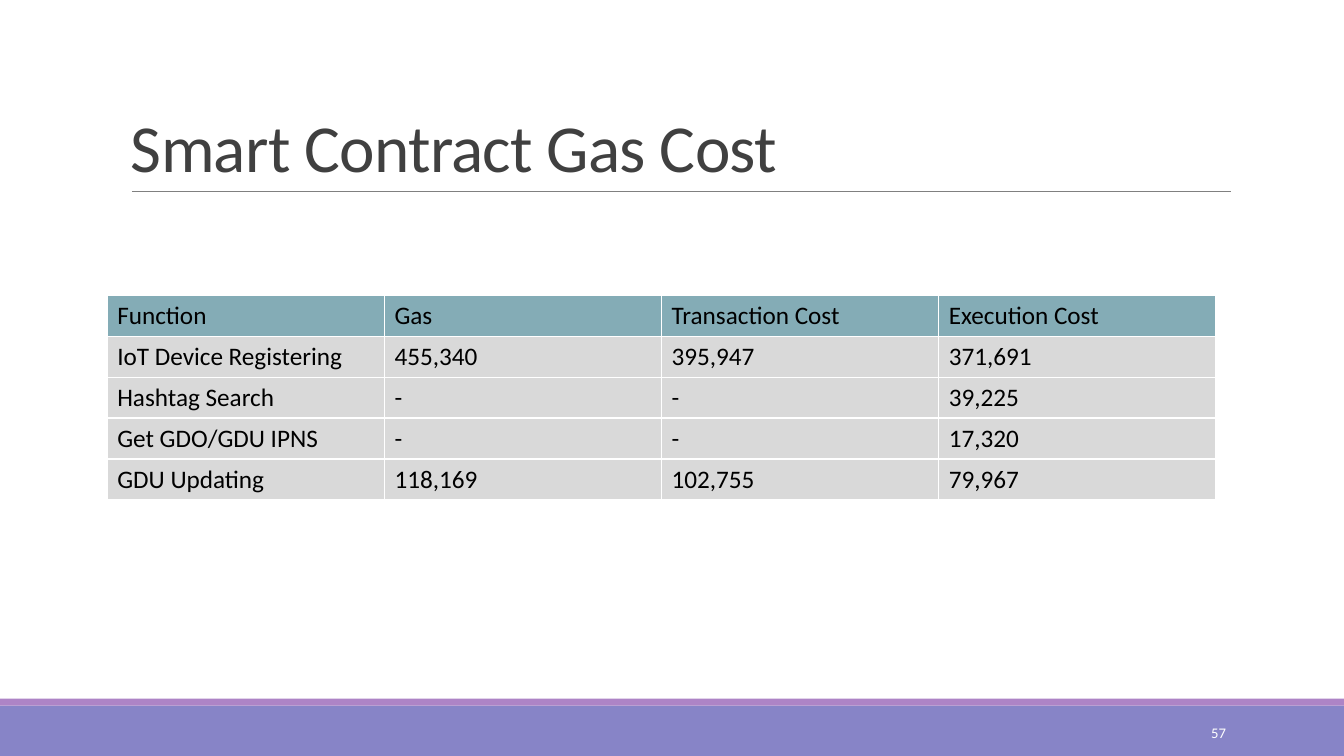
import dataclasses
from typing import Any

import lxml.etree
import pptx
import pptx.dml.color
import pptx.enum.shapes
import pptx.enum.text
import pptx.oxml.ns
import pptx.util

Pt = pptx.util.Pt
RGBColor = pptx.dml.color.RGBColor
Align = pptx.enum.text.PP_ALIGN
Anchor = pptx.enum.text.MSO_ANCHOR
qn = pptx.oxml.ns.qn

# Colours
WHITE = RGBColor(0xFF, 0xFF, 0xFF)
BLACK = RGBColor(0x00, 0x00, 0x00)
DARK = RGBColor(0x40, 0x40, 0x40)
GREY = RGBColor(0x80, 0x80, 0x80)
PALE = RGBColor(0xD9, 0xD9, 0xD9)
TEAL = RGBColor(0x84, 0xAC, 0xB6)
BLUE = RGBColor(0x87, 0x84, 0xC7)
MAUVE = RGBColor(0xAD, 0x84, 0xC6)

# Lengths in points
WIDTH, HEIGHT = 960, 540
COL, ROW = 198, 29.2


@dataclasses.dataclass(frozen=True)
class Band:
    top: float
    height: float
    color: RGBColor


@dataclasses.dataclass(frozen=True)
class Label:
    text: str
    box: tuple[float, float, float, float]
    size: float
    color: RGBColor
    frame: dict[str, Any]
    para: dict[str, Any]
    track: int = 0


BANDS = [Band(504, 36, BLUE), Band(499, 5, MAUVE)]

LABELS = [
    Label("Smart Contract Gas Cost", (86.4, 22.4, 792, 114.4), 48, DARK,
          {"vertical_anchor": Anchor.BOTTOM}, {"line_spacing": 0.85}, -50),
    Label("57", (779.8, 508.6, 103, 28.8), 10.5, WHITE,
          {"vertical_anchor": Anchor.MIDDLE}, {"alignment": Align.RIGHT}),
]

COSTS = [
    ("Function", "Gas", "Transaction Cost", "Execution Cost"),
    ("IoT Device Registering", "455,340", "395,947", "371,691"),
    ("Hashtag Search", "-", "-", "39,225"),
    ("Get GDO/GDU IPNS", "-", "-", "17,320"),
    ("GDU Updating", "118,169", "102,755", "79,967"),
]


def apply(item: Any, values: dict[str, Any]) -> None:
    for name, value in values.items():
        setattr(item, name, value)


def write(para: Any, text: str, size: float, color: RGBColor) -> Any:
    run = para.add_run()
    run.text = text
    apply(run.font, {"name": "Calibri", "size": Pt(size), "bold": False})
    run.font.color.rgb = color
    return run


def draw_band(slide: Any, band: Band) -> None:
    shape = slide.shapes.add_shape(
        pptx.enum.shapes.MSO_SHAPE.RECTANGLE,
        0, Pt(band.top), Pt(WIDTH), Pt(band.height))
    shape.shadow.inherit = False
    shape.fill.solid()
    shape.fill.fore_color.rgb = band.color
    shape.line.fill.background()


def draw_rule(slide: Any) -> None:
    rule = slide.shapes.add_connector(
        pptx.enum.shapes.MSO_CONNECTOR.STRAIGHT,
        Pt(94.3), Pt(136.8), Pt(879.1), Pt(136.8))
    rule.line.color.rgb = GREY
    rule.line.width = Pt(0.5)
    props = rule._element.find(qn("p:spPr"))
    lxml.etree.SubElement(props, qn("a:effectLst"))


def draw_label(slide: Any, label: Label) -> None:
    frame = slide.shapes.add_textbox(*map(Pt, label.box)).text_frame
    apply(frame, {"word_wrap": True, **label.frame})
    para = frame.paragraphs[0]
    apply(para, label.para)
    run = write(para, label.text, label.size, label.color)
    if label.track:
        run.font._element.set("spc", str(label.track))


def add_edges(cell: Any) -> None:
    props = cell._tc.get_or_add_tcPr()
    for side in ("lnL", "lnR", "lnT", "lnB"):
        edge = lxml.etree.SubElement(props, qn(f"a:{side}"), w=str(Pt(1)))
        fill = lxml.etree.SubElement(edge, qn("a:solidFill"))
        lxml.etree.SubElement(fill, qn("a:srgbClr"), val=str(WHITE))


def draw_table(slide: Any, rows: list[tuple[str, ...]]) -> None:
    wide = len(rows[0])
    table = slide.shapes.add_table(
        len(rows), wide, Pt(76.6), Pt(211),
        Pt(COL * wide), Pt(ROW * len(rows))).table
    for r, row in enumerate(rows):
        table.rows[r].height = Pt(ROW)
        for c, text in enumerate(row):
            cell = table.cell(r, c)
            cell.vertical_anchor = Anchor.MIDDLE
            add_edges(cell)
            cell.fill.solid()
            cell.fill.fore_color.rgb = PALE if r else TEAL
            write(cell.text_frame.paragraphs[0], text, 18, BLACK)


def main() -> None:
    deck = pptx.Presentation()
    apply(deck, {"slide_width": Pt(WIDTH), "slide_height": Pt(HEIGHT)})
    slide = deck.slides.add_slide(deck.slide_layouts[6])

    # Footer bands and title rule
    for band in BANDS:
        draw_band(slide, band)
    draw_rule(slide)

    # Title, page number and cost table
    for label in LABELS:
        draw_label(slide, label)
    draw_table(slide, COSTS)

    deck.save("out.pptx")


if __name__ == "__main__":
    main()
